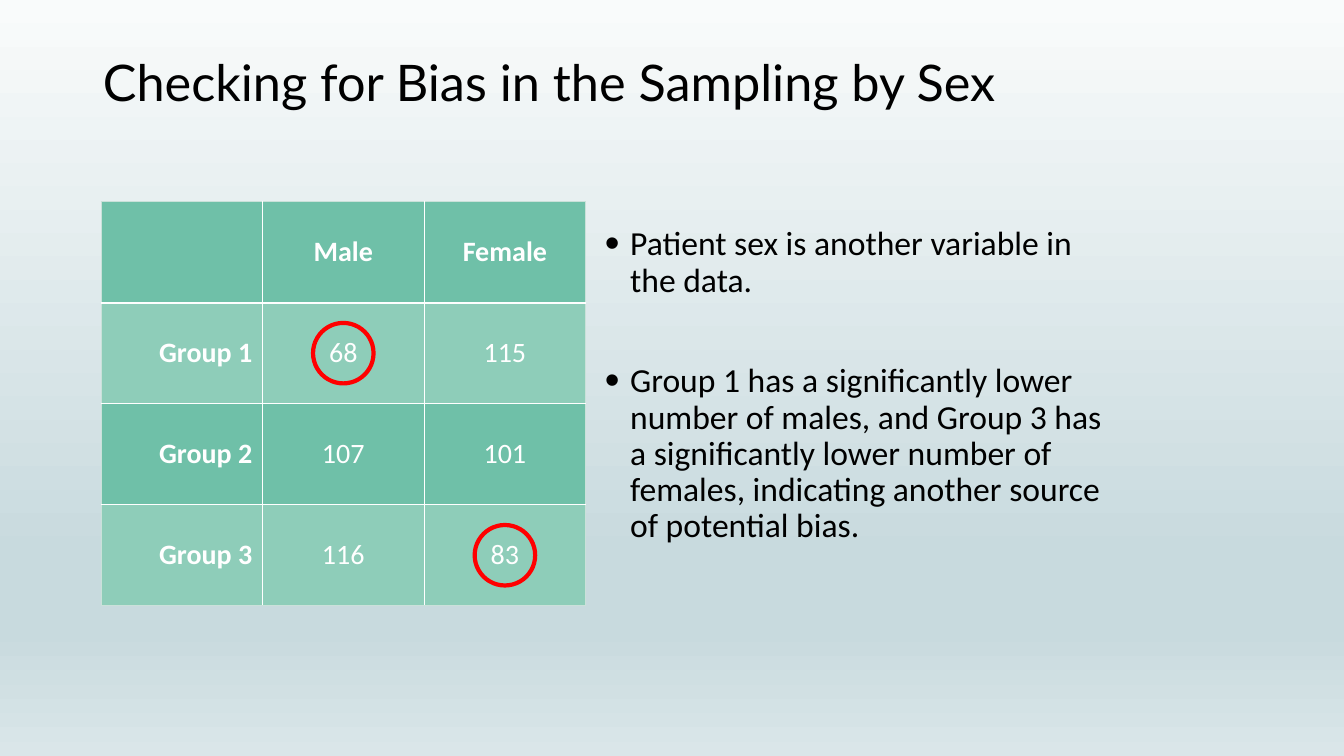
from typing import NamedTuple

from lxml.etree import SubElement
from pptx import Presentation
from pptx.dml.color import RGBColor
from pptx.enum.shapes import MSO_SHAPE as Shape
from pptx.enum.text import MSO_ANCHOR as Anchor, MSO_AUTO_SIZE as AutoSize, PP_ALIGN as Align
from pptx.oxml.ns import qn
from pptx.util import Inches, Pt

BLACK, WHITE, RED = "000000", "FFFFFF", "FF0000"
GREEN, LIGHT_GREEN, EDGE = "6FC0A8", "8ECDB9", "CAE1D9"
NO_STYLE = "{2D5ABB26-0587-4C30-8999-92F81FD0307C}"
BACKGROUND_STOPS = [(0, "F9FBFB"), (74, "C8DADE"), (83, "C8DADE"), (100, "DAE6E9")]

COUNTS = [
    ["", "Male", "Female"],
    ["Group 1", "68", "115"],
    ["Group 2", "107", "101"],
    ["Group 3", "116", "83"],
]
HIGHLIGHTS = [(1, 1), (3, 2)]
CIRCLE_SIZE = 0.6


class Box(NamedTuple):
    left: float
    top: float
    width: float
    height: float

    def lengths(self) -> list:
        return [Inches(value) for value in self]


class Bullet(NamedTuple):
    text: str
    space_before: float


TITLE_BOX = Box(0.92, 0.4, 11.5, 0.9)
BODY_BOX = Box(5.9, 2.2, 5.21, 3.54)
TABLE_BOX = Box(1, 2, 4.81, 4.01)
BULLETS = [
    Bullet("Patient sex is another variable in the data.", 10),
    Bullet("Group 1 has a significantly lower number of males, and Group 3 has "
           "a significantly lower number of females, indicating another source "
           "of potential bias.", 46),
]


def color(code: str) -> RGBColor:
    return RGBColor.from_string(code)


def write(para, text: str, *, size: float, font: str = "Calibri", fill: str = BLACK,
          bold: bool = False, align=Align.LEFT, line_spacing: float = 1.0,
          space_before: float = 0) -> None:
    para.alignment = align
    para.line_spacing = line_spacing
    para.space_before = Pt(space_before)
    span = para.add_run()
    span.text = text
    span.font.name = font
    span.font.size = Pt(size)
    span.font.bold = bold
    span.font.color.rgb = color(fill)


def place(holder, box: Box, anchor):
    """Move a placeholder and return its text frame."""
    holder.left, holder.top, holder.width, holder.height = box.lengths()
    frame = holder.text_frame
    frame.word_wrap = True
    frame.auto_size = AutoSize.NONE
    frame.vertical_anchor = anchor
    return frame


def add_bullet(para) -> None:
    props = para._p.get_or_add_pPr()
    props.set("marL", str(Inches(0.25)))
    props.set("indent", str(-Inches(0.25)))
    SubElement(props, qn("a:buSzPct"), val="125000")
    SubElement(props, qn("a:buFont"), typeface="Arial")
    SubElement(props, qn("a:buChar"), char="•")


def paint_background(page) -> None:
    fill = page.background.fill
    fill.gradient()
    fill.gradient_angle = 270
    stops = page.element.find(".//" + qn("a:gsLst"))
    for stop in list(stops):
        stops.remove(stop)
    for percent, code in BACKGROUND_STOPS:
        stop = SubElement(stops, qn("a:gs"), pos=str(percent * 1000))
        SubElement(stop, qn("a:srgbClr"), val=code)


def add_border(cell, side: str, code: str, width: float = 0.5) -> None:
    line = SubElement(cell._tc.get_or_add_tcPr(), qn(f"a:ln{side}"), w=str(Pt(width)))
    SubElement(SubElement(line, qn("a:solidFill")), qn("a:srgbClr"), val=code)


def format_cell(cell, row: int, column: int) -> None:
    last_row, last_column = len(COUNTS) - 1, len(COUNTS[0]) - 1
    add_border(cell, "L", EDGE if column == 0 else WHITE)
    add_border(cell, "R", EDGE if column == last_column else WHITE)
    if row != 1:  # the header's heavy rule serves as the top of the first group
        add_border(cell, "T", EDGE if row == 0 else WHITE)
    add_border(cell, "B", EDGE if row == last_row else WHITE, 1.5 if row == 0 else 0.5)
    cell.fill.solid()
    cell.fill.fore_color.rgb = color(LIGHT_GREEN if row % 2 else GREEN)
    cell.vertical_anchor = Anchor.MIDDLE
    if COUNTS[row][column]:
        write(cell.text_frame.paragraphs[0], COUNTS[row][column], size=20, fill=WHITE,
              bold=row == 0 or column == 0, align=Align.CENTER if column else Align.RIGHT)


def add_counts(page) -> None:
    rows, columns = len(COUNTS), len(COUNTS[0])
    table = page.shapes.add_table(rows, columns, *TABLE_BOX.lengths()).table
    table._tbl.tblPr.find(qn("a:tableStyleId")).text = NO_STYLE
    for row in range(rows):
        for column in range(columns):
            format_cell(table.cell(row, column), row, column)


def circle_count(page, row: int, column: int) -> None:
    center_x = TABLE_BOX.left + TABLE_BOX.width * (column + 0.5) / len(COUNTS[0])
    center_y = TABLE_BOX.top + TABLE_BOX.height * (row + 0.5) / len(COUNTS)
    box = Box(center_x - CIRCLE_SIZE / 2, center_y - CIRCLE_SIZE / 2, CIRCLE_SIZE, CIRCLE_SIZE)
    circle = page.shapes.add_shape(Shape.OVAL, *box.lengths())
    circle.shadow.inherit = False
    circle.fill.background()
    circle.line.color.rgb = color(RED)
    circle.line.width = Pt(3)


def main() -> None:
    deck = Presentation()
    deck.slide_width, deck.slide_height = Inches(13.33), Inches(7.5)
    page = deck.slides.add_slide(deck.slide_layouts[1])
    paint_background(page)

    # Title
    title = place(page.shapes.title, TITLE_BOX, Anchor.MIDDLE)
    write(title.paragraphs[0], "Checking for Bias in the Sampling by Sex",
          size=36, font="Lato", line_spacing=0.9)

    # Findings
    body = place(page.placeholders[1], BODY_BOX, Anchor.TOP)
    for index, bullet in enumerate(BULLETS):
        para = body.add_paragraph() if index else body.paragraphs[0]
        write(para, bullet.text, size=24, line_spacing=0.9, space_before=bullet.space_before)
        add_bullet(para)

    # Counts with the low values circled
    add_counts(page)
    for row, column in HIGHLIGHTS:
        circle_count(page, row, column)

    deck.save("out.pptx")


if __name__ == "__main__":
    main()
